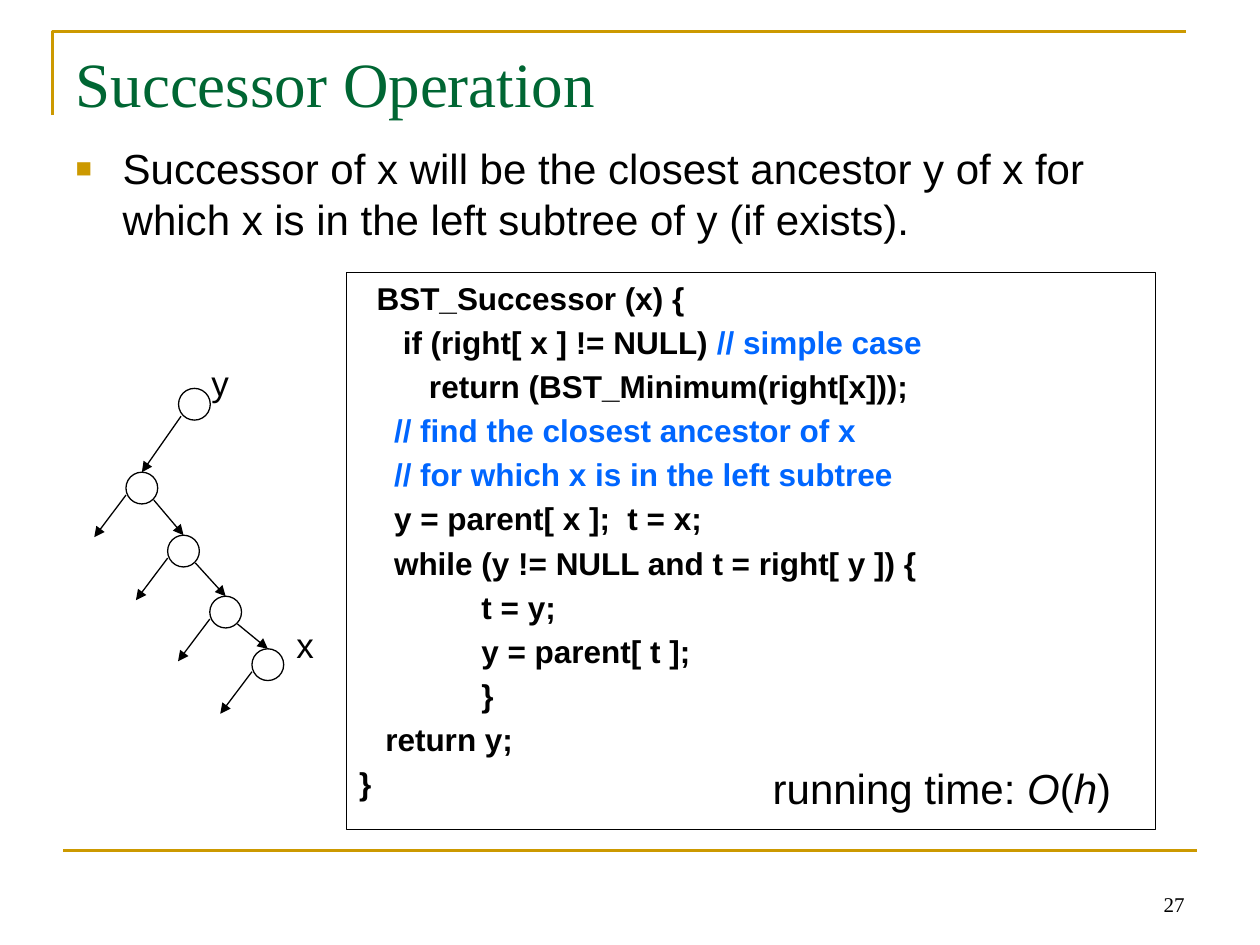
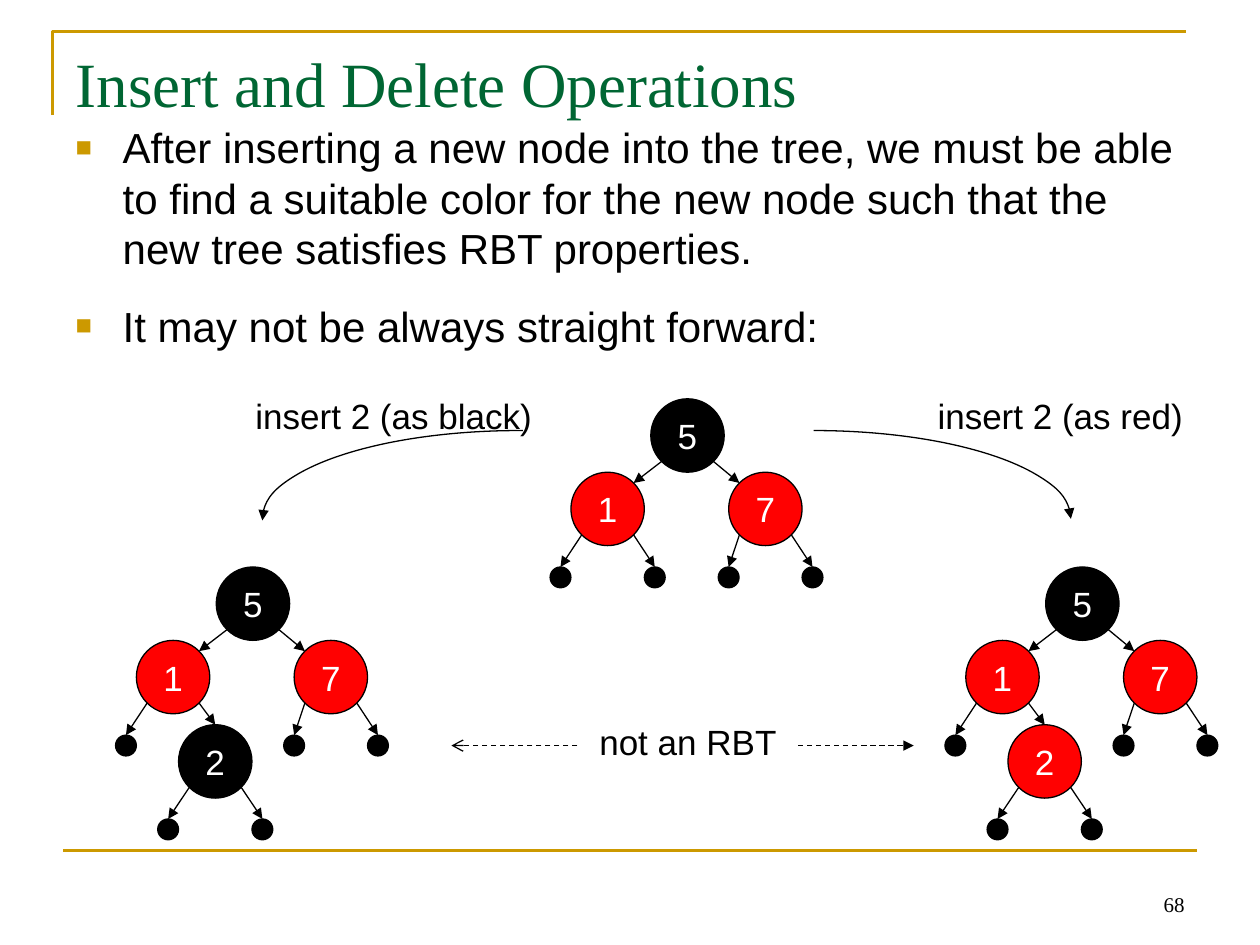
from dataclasses import dataclass
from math import sqrt
from typing import NamedTuple, Optional

from lxml.etree import SubElement
from pptx import Presentation
from pptx.dml.color import RGBColor
from pptx.enum.dml import MSO_LINE
from pptx.enum.shapes import MSO_CONNECTOR, MSO_SHAPE
from pptx.enum.text import MSO_ANCHOR as ANCHOR, MSO_AUTO_SIZE, PP_ALIGN as ALIGN
from pptx.oxml.ns import qn
from pptx.util import Cm, Pt

COLORS = {
    "gold": "CC9900",
    "green": "006633",
    "blue": "0066FF",
    "red": "FF0101",
    "black": "000000",
    "white": "FFFFFF",
}
SANS, SERIF = "Arial", "Times New Roman"
NODE, LEAF, SMALL_NODE = 1.48, 0.42, 0.64
DIAGONAL = NODE / 2 / sqrt(2)


class Run(NamedTuple):
    text: str
    color: str = "black"
    italic: bool = False


class Box(NamedTuple):
    x: float
    y: float
    w: float
    h: float


class Point(NamedTuple):
    x: float
    y: float


@dataclass
class Page:
    title: str
    number: str
    body_top: float
    bullets: list[str]


@dataclass
class Label:
    text: str
    box: Box


@dataclass
class Tree:
    root: Point
    inserted: Optional[str] = None


@dataclass
class CurvedArrow:
    box: Box
    start: float
    end: float
    arrow_end: str


CODE = [
    [Run("  BST_Successor (x) {")],
    [Run("     if (right[ x ] != NULL) "), Run("// simple case", "blue")],
    [Run("        return (BST_Minimum(right[x]));")],
    [Run("    // find the closest ancestor of x", "blue")],
    [Run("    // for which x is in the left subtree", "blue")],
    [Run("    y = parent[ x ];  t = x;")],
    [Run("    while (y != NULL and t = right[ y ]) {")],
    [Run("              t = y;")],
    [Run("              y = parent[ t ];")],
    [Run("              }")],
    [Run("   return y;")],
    [Run("}")],
]
RUNNING_TIME = [Run("running time: "), Run("O", italic=True), Run("("),
                Run("h", italic=True), Run(")")]

SUCCESSOR = Page("Successor Operation", "27", 2.75, [
    "Successor of x will be the closest ancestor y of x for which x is in "
    "the left subtree of y (if exists).",
])
PATH_NODES = [Point(3.92, 8.15), Point(2.86, 9.84), Point(3.7, 11.11),
              Point(4.55, 12.34), Point(5.4, 13.4)]
PATH_LABELS = [Label("y", Box(4.01, 7.16, 0.86, 1.1)),
               Label("x", Box(5.72, 12.45, 0.86, 1.1))]

INSERT_DELETE = Page("Insert and Delete Operations", "68", 2.33, [
    "After inserting a new node into the tree, we must be able to find a "
    "suitable color for the new node such that the new tree satisfies RBT "
    "properties.",
    "It may not be always straight forward:",
])
TREES = [Tree(Point(5.1, 12.17), "black"), Tree(Point(21.82, 12.17), "red"),
         Tree(Point(13.86, 8.78))]
INSERT_LABELS = [Label("insert 2 (as black)", Box(4.88, 7.83, 6.12, 1.12)),
                 Label("insert 2 (as red)", Box(18.63, 7.83, 5.49, 1.12)),
                 Label("not an RBT", Box(11.66, 14.4, 4.42, 1.12))]
CURVES = [CurvedArrow(Box(11.22, 8.68, 10.37, 3.56), 162, 0, "tailEnd"),
          CurvedArrow(Box(5.29, 8.68, 10.37, 3.56), 107.78, 163.35, "headEnd")]


def rgb(name: str) -> RGBColor:
    return RGBColor.from_string(COLORS[name])


def style_line(line, color: str = "black", width: float = 0.75) -> None:
    line.color.rgb = rgb(color)
    line.width = Pt(width)


def add_arrowhead(sp, end: str = "tailEnd", kind: str = "triangle") -> None:
    SubElement(sp.line._get_or_add_ln(), qn(f"a:{end}")).set("type", kind)


def write(p, runs: list[Run], size: float, font: str = SANS,
          bold: bool = False, align=ALIGN.LEFT) -> None:
    p.alignment = align
    for run in runs:
        r = p.add_run()
        r.text = run.text
        r.font.name = font
        r.font.size = Pt(size)
        r.font.bold = bold
        r.font.italic = run.italic
        r.font.color.rgb = rgb(run.color)


def add_line(slide, start: Point, end: Point, color: str = "black",
             width: float = 0.75):
    line = slide.shapes.add_connector(MSO_CONNECTOR.STRAIGHT,
                                      *map(Cm, (*start, *end)))
    style_line(line.line, color, width)
    SubElement(line._element.spPr, qn("a:effectLst"))
    return line


def add_arrow(slide, start: Point, end: Point, target=None) -> None:
    arrow = add_line(slide, start, end)
    if target is not None:
        arrow.end_connect(target, 0)
    add_arrowhead(arrow)


def add_outline(slide, preset, box: Box, fill: Optional[str] = None):
    sp = slide.shapes.add_shape(preset, *map(Cm, box))
    sp.shadow.inherit = False
    if fill:
        sp.fill.solid()
        sp.fill.fore_color.rgb = rgb(fill)
    else:
        sp.fill.background()
    style_line(sp.line)
    return sp


def add_circle(slide, center: Point, size: float, fill: Optional[str] = None):
    box = Box(center.x - size / 2, center.y - size / 2, size, size)
    return add_outline(slide, MSO_SHAPE.OVAL, box, fill)


def add_text(slide, box: Box, runs: list[Run], size: float, font: str = SANS,
             align=ALIGN.CENTER, anchor=ANCHOR.TOP) -> None:
    tf = slide.shapes.add_textbox(*map(Cm, box)).text_frame
    tf.word_wrap = False
    tf.vertical_anchor = anchor
    write(tf.paragraphs[0], runs, size, font, align=align)


def add_labels(slide, labels: list[Label]) -> None:
    for label in labels:
        add_text(slide, label.box, [Run(label.text)], 20)


def place(sp, box: Box):
    sp.left, sp.top, sp.width, sp.height = map(Cm, box)
    tf = sp.text_frame
    tf.auto_size = MSO_AUTO_SIZE.NONE
    tf.vertical_anchor = ANCHOR.TOP
    return tf


def add_bullet(p) -> None:
    pPr = p._p.get_or_add_pPr()
    pPr.set("marL", str(Cm(0.95)))
    pPr.set("indent", str(-Cm(0.95)))
    color = SubElement(pPr, qn("a:buClr"))
    SubElement(color, qn("a:srgbClr")).set("val", COLORS["gold"])
    SubElement(pPr, qn("a:buSzPct")).set("val", "65000")
    SubElement(pPr, qn("a:buFont")).set("typeface", SANS)
    SubElement(pPr, qn("a:buChar")).set("char", "■")


def add_page(prs, page: Page):
    slide = prs.slides.add_slide(prs.slide_layouts[1])
    corner = slide.shapes.build_freeform(Cm(1.06), Cm(2.32))
    corner.add_line_segments([(Cm(1.06), Cm(0.63)), (Cm(23.91), Cm(0.63))],
                             close=False)
    sp = corner.convert_to_shape()
    sp.shadow.inherit = False
    sp.fill.background()
    style_line(sp.line, "gold", 1.5)
    add_line(slide, Point(1.27, 17.15), Point(24.13, 17.15), "gold", 1.5)
    add_text(slide, Box(18.2, 17.34, 5.93, 1.27), [Run(page.number)], 12,
             SERIF, ALIGN.RIGHT, ANCHOR.BOTTOM)

    tf = place(slide.shapes.title, Box(1.27, 0.76, 22.86, 3.18))
    write(tf.paragraphs[0], [Run(page.title, "green")], 36, SERIF)
    tf = place(slide.placeholders[1], Box(1.27, page.body_top, 22.86, 12.57))
    for i, text in enumerate(page.bullets):
        p = tf.add_paragraph() if i else tf.paragraphs[0]
        p.space_before = Pt(15.5 if i else 0)
        add_bullet(p)
        write(p, [Run(text)], 24)
    return slide


def draw_path(slide) -> None:
    circles = [add_circle(slide, c, SMALL_NODE) for c in PATH_NODES]
    for i, c in enumerate(PATH_NODES):
        left, top = c.x - SMALL_NODE / 2, c.y - SMALL_NODE / 2
        if i:
            add_arrow(slide, Point(left, top + 0.46),
                      Point(left - 0.64, top + 1.31))
        if i + 1 < len(PATH_NODES):
            start = Point(left + (0.56 if i else 0.05), top + 0.56)
            add_arrow(slide, start, PATH_NODES[i + 1], circles[i + 1])


def draw_code(slide) -> None:
    sp = add_outline(slide, MSO_SHAPE.RECTANGLE, Box(6.99, 5.5, 16.3, 11.22))
    tf = sp.text_frame
    tf.word_wrap = True
    tf.vertical_anchor = ANCHOR.TOP
    for i, runs in enumerate(CODE):
        p = tf.add_paragraph() if i else tf.paragraphs[0]
        p.space_before = Pt(3.6 if i else 0)
        write(p, runs, 18, bold=True)


def draw_tree(slide, tree: Tree) -> None:
    def at(dx: float, dy: float) -> Point:
        return Point(tree.root.x + dx, tree.root.y + dy)

    def node(center: Point, key: str, fill: str):
        sp = add_circle(slide, center, NODE, fill)
        tf = sp.text_frame
        tf.word_wrap = False
        tf.margin_left = tf.margin_right = tf.margin_top = tf.margin_bottom = 0
        write(tf.paragraphs[0], [Run(key, "white")], 20, align=ALIGN.CENTER)
        return sp

    def below(parent: Point, side: int) -> Point:
        return Point(parent.x + side * DIAGONAL, parent.y + DIAGONAL)

    def leaf(parent: Point, side: int, center: Point) -> None:
        sp = add_circle(slide, center, LEAF, "black")
        add_arrow(slide, below(parent, side), center, sp)

    one, seven, two = at(-1.61, 1.48), at(1.57, 1.48), at(-0.76, 3.18)
    node(tree.root, "5", "black")
    for child, key, side in ((one, "1", -1), (seven, "7", 1)):
        node(child, key, "red")
        add_arrow(slide, below(tree.root, side),
                  Point(child.x - side * DIAGONAL, child.y - DIAGONAL))
    leaf(one, -1, at(-2.56, 2.86))
    leaf(seven, -1, at(0.83, 2.86))
    leaf(seven, 1, at(2.52, 2.86))
    if tree.inserted:
        sp = node(two, "2", tree.inserted)
        add_arrow(slide, below(one, 1), two, sp)
        leaf(two, -1, at(-1.71, 4.55))
        leaf(two, 1, at(0.19, 4.55))
    else:
        leaf(one, 1, at(-0.66, 2.86))


def draw_curve(slide, curve: CurvedArrow) -> None:
    sp = add_outline(slide, MSO_SHAPE.ARC, curve.box)
    sp.adjustments[0] = curve.start
    sp.adjustments[1] = curve.end
    add_arrowhead(sp, curve.arrow_end)


def main() -> None:
    prs = Presentation()
    prs.slide_width, prs.slide_height = Cm(25.4), Cm(19.05)

    slide = add_page(prs, SUCCESSOR)
    draw_path(slide)
    add_labels(slide, PATH_LABELS)
    draw_code(slide)
    add_text(slide, Box(15.32, 15.24, 7.34, 1.27), RUNNING_TIME, 24)

    slide = add_page(prs, INSERT_DELETE)
    for tree in TREES:
        draw_tree(slide, tree)
    for curve in CURVES:
        draw_curve(slide, curve)
    add_labels(slide, INSERT_LABELS)
    for start, end, kind in ((11.64, 9.1, "arrow"), (16.09, 18.42, "triangle")):
        arrow = add_line(slide, Point(start, 15.03), Point(end, 15.03))
        arrow.line.dash_style = MSO_LINE.DASH
        add_arrowhead(arrow, kind=kind)

    prs.save("out.pptx")


if __name__ == "__main__":
    main()
